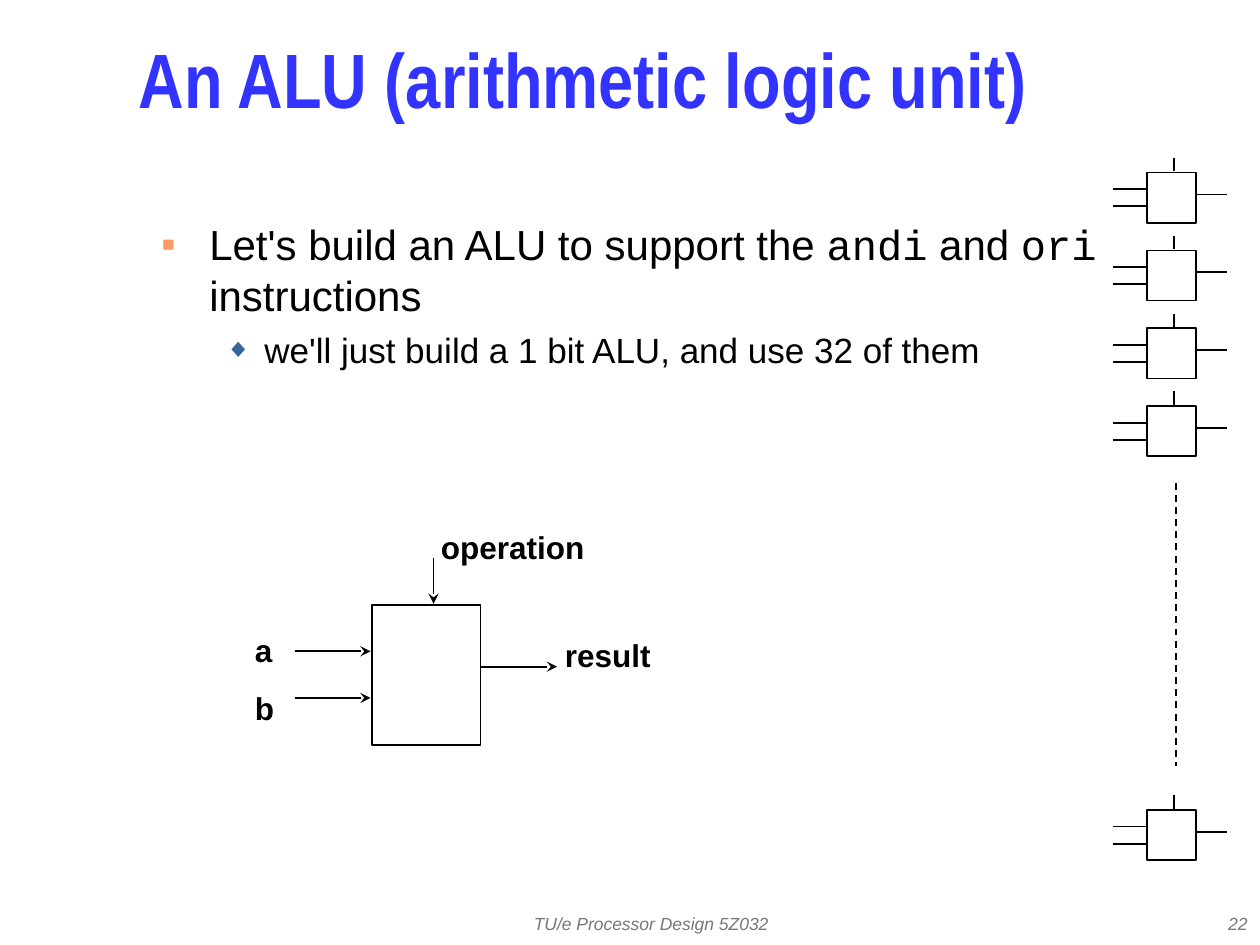
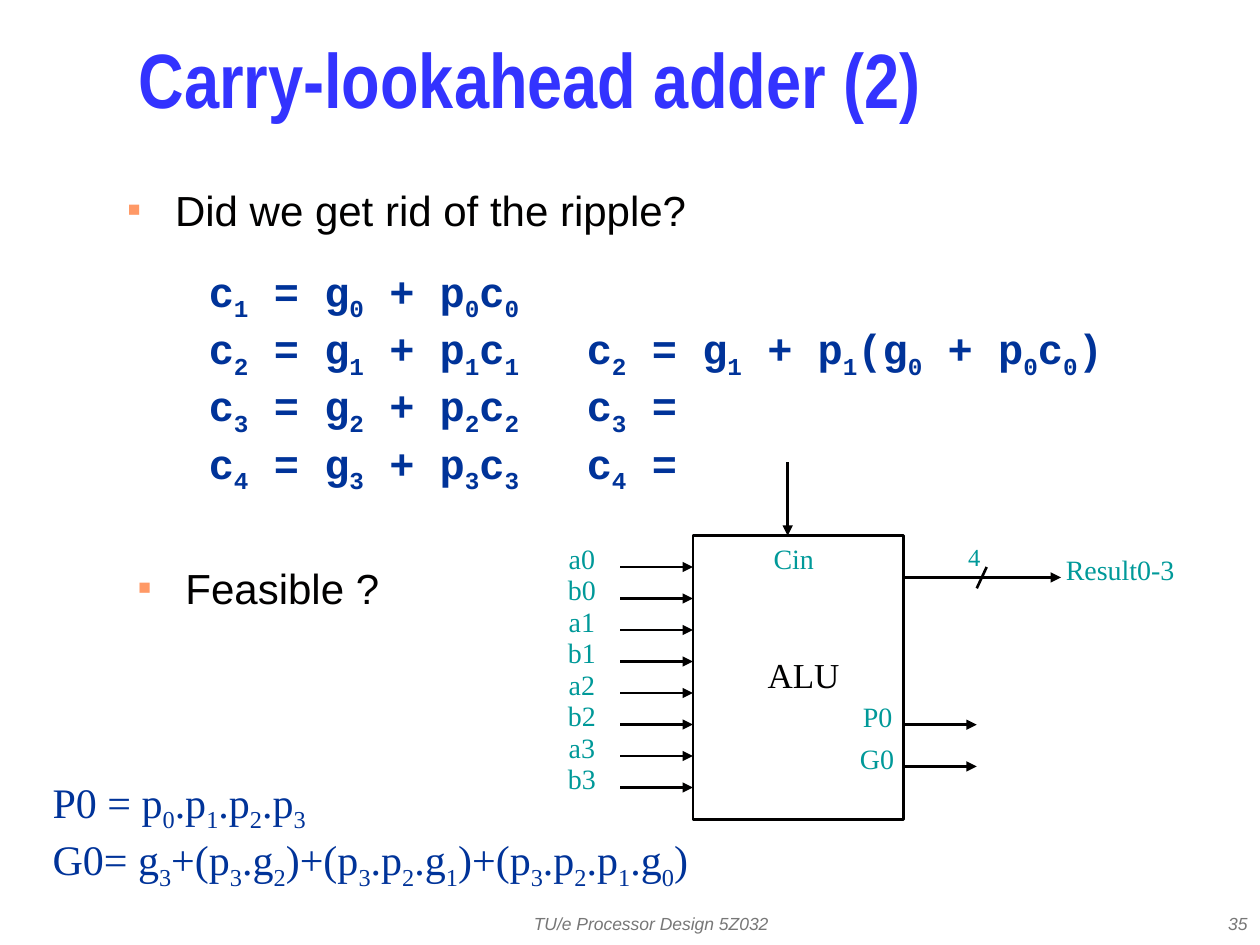
from dataclasses import dataclass, replace

from pptx import Presentation
from pptx.dml.color import RGBColor
from pptx.enum.dml import MSO_LINE
from pptx.enum.shapes import MSO_CONNECTOR, MSO_SHAPE
from pptx.enum.text import MSO_ANCHOR, MSO_AUTO_SIZE, PP_ALIGN
from pptx.oxml.ns import qn
from pptx.util import Cm, Pt
from lxml.etree import SubElement

BLACK = RGBColor(0x00, 0x00, 0x00)
INK = RGBColor(0x01, 0x00, 0x00)
WHITE = RGBColor(0xFF, 0xFF, 0xFF)
TITLE_BLUE = RGBColor(0x33, 0x33, 0xFF)
FORMULA_BLUE = RGBColor(0x00, 0x33, 0x99)
TEAL = RGBColor(0x00, 0x99, 0x99)
GREY = RGBColor(0x77, 0x77, 0x77)
ORANGE = RGBColor(0xFF, 0x99, 0x66)
STEEL = RGBColor(0x33, 0x66, 0x99)


@dataclass(frozen=True)
class Style:
    font: str
    size: float
    color: RGBColor
    bold: bool = False
    italic: bool = False


@dataclass(frozen=True)
class Bullet:
    char: str
    color: RGBColor
    percent: int
    margin: float
    hang: float
    level: int = 0


TITLE = Style("Arial Narrow", 44, TITLE_BLUE, bold=True)
BODY = Style("Arial", 24, INK)
CODE = replace(BODY, font="Courier New")
SUB_BODY = replace(BODY, size=20)
FOOTER = Style("Arial", 10, GREY, italic=True)
PORT = Style("Arial", 18, BLACK, bold=True)
CARRY = Style("Courier New", 24, FORMULA_BLUE, bold=True)
FORMULA = Style("Times New Roman", 24, FORMULA_BLUE)
PIN = Style("Times New Roman", 16, TEAL)
BLOCK_NAME = Style("Times New Roman", 20, INK)

SQUARE = Bullet("■", ORANGE, 50, 0.95, 0.95)
DIAMOND = Bullet("◆", STEEL, 75, 2.06, 0.79, level=1)


def add_run(p, text, style, subscript=False):
    r = p.add_run()
    r.text = text
    f = r.font
    f.name, f.size, f.color.rgb = style.font, Pt(style.size), style.color
    f.bold, f.italic = style.bold, style.italic
    if subscript:
        r._r.get_or_add_rPr().set("baseline", "-25000")


def add_formula(p, formula, style):
    first, *rest = formula.split("_")
    add_run(p, first, style)
    for part in rest:
        add_run(p, part[0], style, subscript=True)
        if part[1:]:
            add_run(p, part[1:], style)


def add_text_box(s, x, y, w, h, anchor=MSO_ANCHOR.TOP, inset=(0.25, 0.13)):
    tf = s.shapes.add_textbox(Cm(x), Cm(y), Cm(w), Cm(h)).text_frame
    tf.word_wrap = True
    tf.auto_size = MSO_AUTO_SIZE.NONE
    tf.vertical_anchor = anchor
    tf.margin_left = tf.margin_right = Cm(inset[0])
    tf.margin_top = tf.margin_bottom = Cm(inset[1])
    return tf


def add_label(s, text, x, y, w, h, style, align=PP_ALIGN.CENTER):
    p = add_text_box(s, x, y, w, h, MSO_ANCHOR.MIDDLE).paragraphs[0]
    p.alignment = align
    add_run(p, text, style)


def add_port_label(s, text, x, y, w):
    p = add_text_box(s, x, y, w, 1.7, inset=(0.05, 0.08)).paragraphs[0]
    p.line_spacing = Pt(27)
    add_run(p, text, PORT)


def add_formulas(s, formulas, x, y, w, h, style, tab=None):
    tf = add_text_box(s, x, y, w, h, MSO_ANCHOR.MIDDLE)
    for i, formula in enumerate(formulas):
        p = tf.add_paragraph() if i else tf.paragraphs[0]
        if tab:
            tabs = SubElement(p._p.get_or_add_pPr(), qn("a:tabLst"))
            SubElement(tabs, qn("a:tab"), pos=str(Cm(tab)), algn="l")
        add_formula(p, formula, style)


def add_bulleted(p, bullet, runs):
    pPr = p._p.get_or_add_pPr()
    pPr.set("marL", str(Cm(bullet.margin)))
    pPr.set("indent", str(-Cm(bullet.hang)))
    p.level = bullet.level
    color = SubElement(pPr, qn("a:buClr"))
    SubElement(color, qn("a:srgbClr"), val=str(bullet.color))
    SubElement(pPr, qn("a:buSzPct"), val=str(bullet.percent * 1000))
    SubElement(pPr, qn("a:buFont"), typeface="Arial")
    SubElement(pPr, qn("a:buChar"), char=bullet.char)
    for text, style in runs:
        add_run(p, text, style)


def add_box(s, x, y, w, h, color, width, fill=None):
    sp = s.shapes.add_shape(MSO_SHAPE.RECTANGLE, Cm(x), Cm(y), Cm(w), Cm(h))
    sp.shadow.inherit = False
    if fill is None:
        sp.fill.background()
    else:
        sp.fill.solid()
        sp.fill.fore_color.rgb = fill
    sp.line.color.rgb = color
    sp.line.width = Pt(width)


def add_line(s, x1, y1, x2, y2, color, width, head=None, dash=None):
    c = s.shapes.add_connector(MSO_CONNECTOR.STRAIGHT, Cm(x1), Cm(y1), Cm(x2), Cm(y2))
    c.line.color.rgb = color
    c.line.width = Pt(width)
    if dash:
        c.line.dash_style = dash
    if head:
        SubElement(c.line._get_or_add_ln(), qn("a:tailEnd"), type=head)
    SubElement(c._element.spPr, qn("a:effectLst"))


def add_slide(prs, title, number):
    s = prs.slides.add_slide(prs.slide_layouts[5])
    sp = s.shapes.title
    sp.left, sp.top, sp.width, sp.height = Cm(2.54), Cm(0.43), Cm(21.79), Cm(2.74)
    tf = sp.text_frame
    tf.auto_size = MSO_AUTO_SIZE.NONE
    tf.vertical_anchor = MSO_ANCHOR.MIDDLE
    p = tf.paragraphs[0]
    p.alignment = PP_ALIGN.LEFT
    p.line_spacing = 0.7
    add_run(p, title, TITLE)
    add_label(s, "TU/e Processor Design 5Z032", 9.1, 18.2, 8.05, 0.84, FOOTER)
    add_label(s, number, 20.12, 18.2, 5.28, 0.84, FOOTER, PP_ALIGN.RIGHT)
    return s


def add_one_bit_alu(s):
    add_box(s, 7.5, 12.2, 2.19, 2.82, BLACK, 1, WHITE)
    for x1, y1, x2, y2 in (
        (5.94, 13.13, 7.47, 13.13),
        (5.94, 14.07, 7.47, 14.07),
        (8.74, 11.25, 8.74, 12.17),
        (9.7, 13.44, 11.23, 13.44),
    ):
        add_line(s, x1, y1, x2, y2, BLACK, 1, head="stealth")
    for text, x, y, w in (
        ("a", 5.09, 12.45, 1.52),
        ("b", 5.09, 13.61, 1.52),
        ("operation", 8.84, 10.38, 5.72),
        ("result", 11.34, 12.55, 2.24),
    ):
        add_port_label(s, text, x, y, w)


def add_bit_cell(s, top):
    add_box(s, 23.12, top, 0.99, 1.01, BLACK, 1, WHITE)
    for x1, dy1, x2, dy2 in (
        (22.43, 0.33, 23.1, 0.33),
        (22.43, 0.68, 23.1, 0.68),
        (23.67, -0.3, 23.67, -0.03),
        (24.1, 0.44, 24.74, 0.44),
    ):
        add_line(s, x1, top + dy1, x2, top + dy2, BLACK, 1)


def add_four_bit_alu(s):
    pitch = 2.54 / 4
    add_box(s, 13.97, 10.8, 4.24, 5.72, INK, 1.5)
    for i in range(8):
        y = 11.43 + i * pitch
        add_line(s, 12.5, y, 13.97, y, INK, 1.5, head="triangle")
        add_label(s, f"{'ab'[i % 2]}{i // 2}", 10.98, 10.78 + i * pitch, 1.5, 0.94, PIN)
    for x1, y1, x2, y2 in (
        (15.88, 9.32, 15.88, 10.8),
        (18.21, 14.61, 19.69, 14.61),
        (18.21, 15.45, 19.69, 15.45),
        (18.21, 11.64, 21.39, 11.64),
    ):
        add_line(s, x1, y1, x2, y2, INK, 1.5, head="triangle")
    add_line(s, 19.89, 11.43, 19.69, 11.86, INK, 1.5)
    for text, x, y, w, h, style in (
        ("Cin", 15, 10.78, 2, 0.94, PIN),
        ("P0", 16.94, 13.97, 1.5, 0.94, PIN),
        ("G0", 16.93, 14.81, 1.5, 0.94, PIN),
        ("Result0-3", 21.08, 11, 3, 0.94, PIN),
        ("4", 19.14, 10.8, 1, 0.86, replace(PIN, size=14)),
        ("ALU", 14.95, 13.03, 2.5, 1.12, BLOCK_NAME),
    ):
        add_label(s, text, x, y, w, h, style)


def build_alu_slide(prs):
    s = add_slide(prs, "An ALU (arithmetic logic unit)", "22")
    tf = add_text_box(s, 3.02, 4.28, 20.85, 12.17)
    add_bulleted(tf.paragraphs[0], SQUARE, [
        ("Let's build an ALU to support the ", BODY), ("andi", CODE),
        (" and ", BODY), ("ori", CODE), (" instructions", BODY),
    ])
    p = tf.add_paragraph()
    add_bulleted(p, DIAMOND, [("we'll just build a 1 bit ALU, and use 32 of them", SUB_BODY)])
    p.space_before = Pt(5)
    add_one_bit_alu(s)
    for top in [3.48 + 1.57 * i for i in range(4)] + [16.33]:
        add_bit_cell(s, top)
    add_line(s, 23.7, 9.73, 23.7, 15.45, INK, 1, dash=MSO_LINE.DASH)


def build_adder_slide(prs):
    s = add_slide(prs, "Carry-lookahead adder (2)", "35")
    for text, x, y in (
        ("Did we get rid of the ripple?", 2.33, 3.59),
        ("Feasible ?", 2.54, 11.21),
    ):
        tf = add_text_box(s, x, y, 21.79, 1.7)
        add_bulleted(tf.paragraphs[0], SQUARE, [(text, BODY)])
    expansions = ("", "\tc_2 = g_1 + p_1(g_0 + p_0c_0)", "\tc_3 =", "\tc_4 =")
    carries = [f"c_{i + 1} = g_{i} + p_{i}c_{i}{tail}" for i, tail in enumerate(expansions)]
    add_formulas(s, carries, 3.96, 5.22, 20, 4.88, CARRY, tab=7.62)
    add_four_bit_alu(s)
    add_formulas(s, (
        "P0 = p_0.p_1.p_2.p_3",
        "G0= g_3+(p_3.g_2)+(p_3.p_2.g_1)+(p_3.p_2.p_1.g_0)",
    ), 0.81, 15.52, 15, 2.57, FORMULA)


def main():
    prs = Presentation()
    prs.slide_width, prs.slide_height = Cm(25.4), Cm(19.05)
    build_alu_slide(prs)
    build_adder_slide(prs)
    prs.save("out.pptx")


if __name__ == "__main__":
    main()
